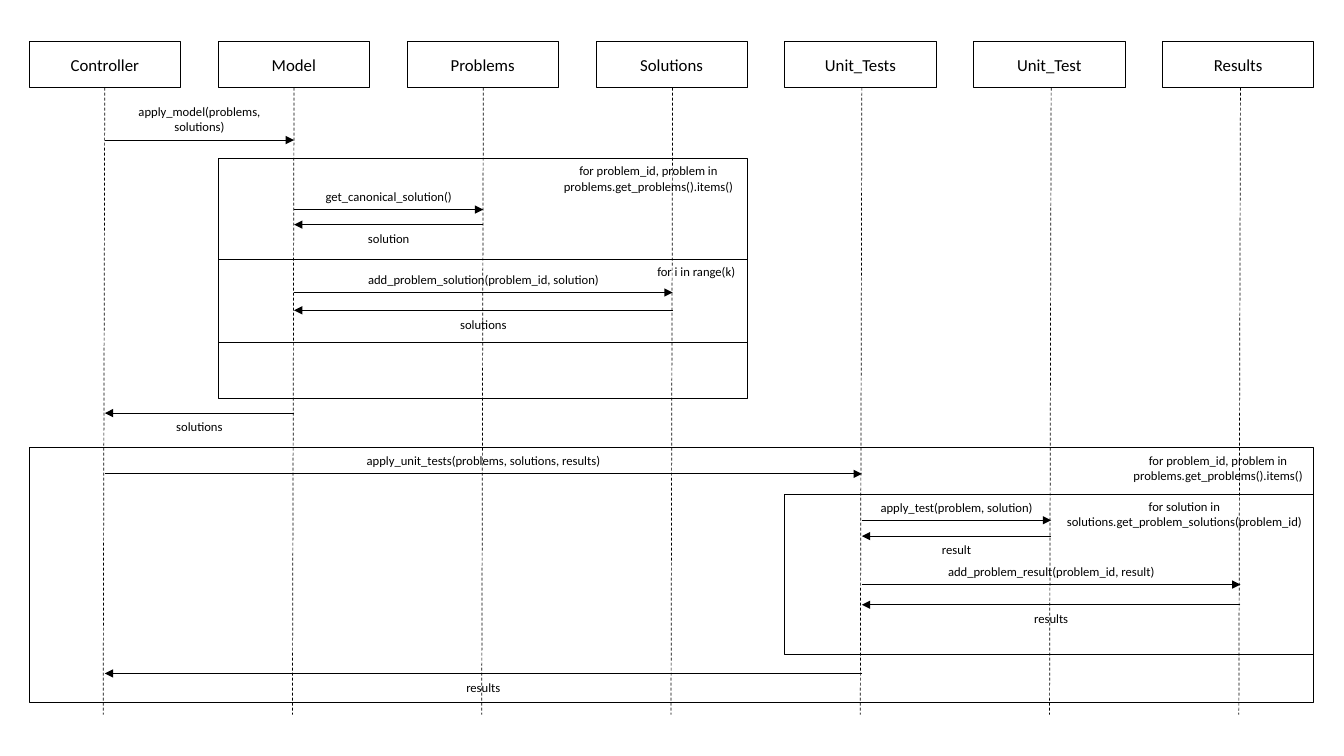
from pptx import Presentation
from pptx.dml.color import RGBColor
from pptx.enum.dml import MSO_LINE
from pptx.enum.shapes import MSO_CONNECTOR, MSO_SHAPE
from pptx.enum.text import MSO_ANCHOR as Anchor, MSO_AUTO_SIZE as Fit, PP_ALIGN as Align
from pptx.oxml.ns import qn
from pptx.util import Cm, Pt
from lxml.etree import SubElement as Sub

# Heads and lifelines, in cm
LEFT, TOP, WIDE, HIGH, STEP = 0.74, 1.04, 3.81, 1.17, 4.76
LINE_X, LINE_STEP, LINE_END, LEAN = 2.64, 4.77, 18.01, 0.04

HEADS = ["Controller", "Model", "Problems", "Solutions",
         "Unit_Tests", "Unit_Test", "Results"]

# first head, last head, top, height, note, note width, note lines
ITEMS = "for problem_id, problem in problems.get_problems().items()"
FRAMES = [
    (1, 3, 3.99, 6.05, ITEMS, 4.98, 2),
    (1, 3, 6.53, 2.11, "for i in range(k)", 2.57, 1),
    (0, 6, 11.28, 6.43, ITEMS, 4.83, 2),
    (4, 6, 12.45, 4.04,
     "for solution in solutions.get_problem_solutions(problem_id)", 6.53, 2),
]

# sender, receiver, height on the slide, text, text lines
CALLS = [
    (0, 1, 3.53, "apply_model(problems, solutions)", 2),
    (1, 2, 5.28, "get_canonical_solution()", 1),
    (2, 1, 5.66, "solution", 1),
    (1, 3, 7.37, "add_problem_solution(problem_id, solution)", 1),
    (3, 1, 7.82, "solutions", 1),
    (1, 0, 10.41, "solutions", 1),
    (0, 4, 11.94, "apply_unit_tests(problems, solutions, results)", 1),
    (4, 5, 13.11, "apply_test(problem, solution)", 1),
    (5, 4, 13.51, "result", 1),
    (4, 6, 14.73, "add_problem_result(problem_id, result)", 1),
    (6, 4, 15.24, "results", 1),
    (4, 0, 16.97, "results", 1),
]


def color(text):
    """Turn a hex string into a colour."""
    return RGBColor.from_string(text)


def head_x(i):
    """Left edge of a head."""
    return LEFT + i * STEP


def lane_x(i):
    """Place of a lifeline."""
    return LINE_X + i * LINE_STEP


def tall(lines):
    """Height of a label with this many lines."""
    return 0.25 + 0.39 * lines


class Chart:
    """Style and slide of the sequence diagram."""
    font, ink, paper = "Calibri", "000000", "FFFFFF"

    def __init__(self, slide):
        """Keep the slide's shapes."""
        self.shapes = slide.shapes

    def fill_in(self, shape, text, size):
        """Put centred text into a shape."""
        shape.text_frame.word_wrap = True
        par = shape.text_frame.paragraphs[0]
        par.text, par.alignment = text, Align.CENTER
        par.font.name, par.font.size = self.font, Pt(size)
        par.font.color.rgb = color(self.ink)

    def box(self, x, y, w, h, weight, fill=None):
        """Draw an outlined box."""
        shape = self.shapes.add_shape(MSO_SHAPE.RECTANGLE, Cm(x), Cm(y), Cm(w), Cm(h))
        shape.shadow.inherit = False
        shape.line.color.rgb = color(self.ink)
        shape.line.width = Pt(weight)
        if fill:
            shape.fill.solid()
            shape.fill.fore_color.rgb = color(fill)
        else:
            shape.fill.background()
        return shape

    def label(self, x, y, w, text, lines):
        """Add a small text box."""
        shape = self.shapes.add_textbox(Cm(x), Cm(y), Cm(w), Cm(tall(lines)))
        self.fill_in(shape, text, 9)
        shape.text_frame.auto_size = Fit.SHAPE_TO_FIT_TEXT

    def line(self, x1, y1, x2, y2):
        """Draw a thin line without a shadow."""
        wire = self.shapes.add_connector(
            MSO_CONNECTOR.STRAIGHT, Cm(x1), Cm(y1), Cm(x2), Cm(y2))
        wire.line.color.rgb = color(self.ink)
        wire.line.width = Pt(0.5)
        Sub(wire._element.spPr, qn("a:effectLst"))
        return wire

    def head(self, i, name):
        """Draw a participant and its lifeline."""
        shape = self.box(head_x(i), TOP, WIDE, HIGH, 0.5, self.paper)
        self.fill_in(shape, name, 12)
        shape.text_frame.vertical_anchor = Anchor.MIDDLE
        x = lane_x(i)
        wire = self.line(x, TOP + HIGH, x - LEAN, LINE_END)
        wire.line.dash_style = MSO_LINE.DASH

    def frame(self, first, last, y, h, note, w, lines):
        """Draw a loop frame with its note at the top right."""
        x, right = head_x(first), head_x(last) + WIDE
        self.box(x, y, right - x, h, 0.75)
        self.label(right - w, y, w, note, lines)

    def call(self, start, end, y, text, lines):
        """Draw an arrow: calls have text above, replies below."""
        x1, x2 = lane_x(start), lane_x(end)
        wire = self.line(x1, y, x2, y)
        Sub(wire._element.spPr.find(qn("a:ln")), qn("a:tailEnd"), type="triangle")
        top = y - tall(lines) if start < end else y + 0.03
        self.label(min(x1, x2), top, abs(x2 - x1), text, lines)


deck = Presentation()
deck.slide_width, deck.slide_height = Cm(33.87), Cm(19.05)
chart = Chart(deck.slides.add_slide(deck.slide_layouts[6]))
for i, name in enumerate(HEADS):
    chart.head(i, name)
for frame in FRAMES:
    chart.frame(*frame)
for call in CALLS:
    chart.call(*call)
deck.save("out.pptx")
